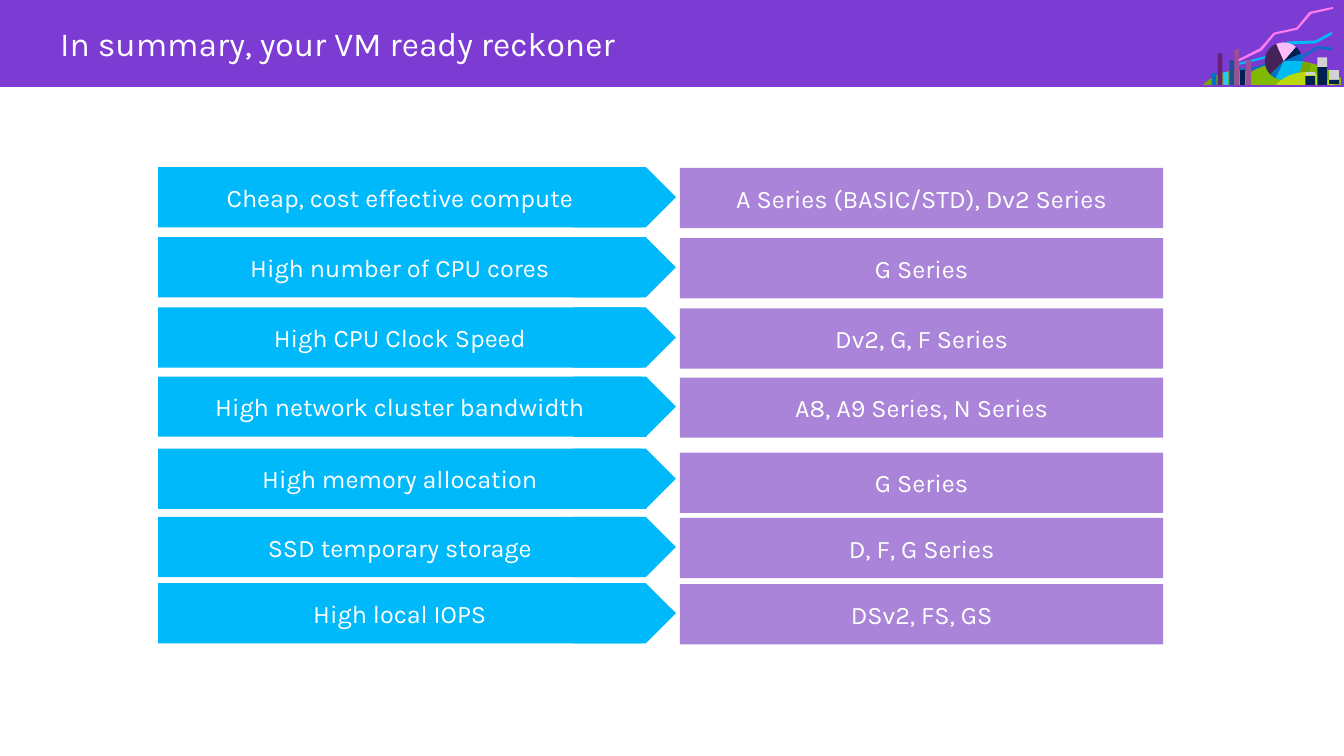
import math
from typing import NamedTuple

from pptx import Presentation
from pptx.dml.color import RGBColor
from pptx.enum.shapes import MSO_SHAPE
from pptx.enum.text import MSO_ANCHOR, PP_ALIGN
from pptx.util import Inches, Pt

RECTANGLE, CHEVRON = MSO_SHAPE.RECTANGLE, MSO_SHAPE.CHEVRON
MIDDLE = MSO_ANCHOR.MIDDLE
LEFT, CENTER = PP_ALIGN.LEFT, PP_ALIGN.CENTER

COLOURS = {
    "white": "FFFFFF", "need": "00B9FA", "series": "AA84D8", "banner": "7C3BD3",
    "cyan": "00BCF2", "blue": "0072C6", "navy": "002050", "pink": "FF7BEF",
    "pale pink": "FFBDF7", "aubergine": "442359", "dark green": "79A500",
    "green": "7FBA00", "lime": "BAD80A", "sky": "28C9F7", "royal": "1F4F99",
    "mauve": "9B4F96", "purple": "68217A", "grey": "D2D2D2",
}
FONT = "Karla"


class Match(NamedTuple):
    top: float
    need: str
    series: str
    series_drop: float = 0.01


class Outline(NamedTuple):
    colour: str
    start: tuple[float, float]
    steps: list[tuple[float, ...]]


class Slice(NamedTuple):
    colour: str
    begin: int
    end: int


class Bar(NamedTuple):
    colour: str
    left: float
    top: float
    bottom: float = 0.86
    width: float = 0.05


MATCHES = [
    Match(1.69, "Cheap, cost effective compute", "A Series (BASIC/STD), Dv2 Series"),
    Match(2.4, "High number of CPU cores", "G Series"),
    Match(3.11, "High CPU Clock Speed", "Dv2, G, F Series"),
    Match(3.81, "High network cluster bandwidth", "A8, A9 Series, N Series"),
    Match(4.54, "High memory allocation", "G Series", 0.04),
    Match(5.23, "SSD temporary storage", "D, F, G Series"),
    Match(5.9, "High local IOPS", "DSv2, FS, GS"),
]
ROW_HEIGHT, BOX_WIDTH = 0.61, 4.89
NEED_LEFT, CHEVRON_LEFT, SERIES_LEFT = 1.6, 5.8, 6.88

LOWER_TRENDS = [
    Outline("cyan", (12.53, 0.66), [
        (12.52, 0.64), (12.8, 0.57), (13.03, 0.42), (13.31, 0.41), (13.48, 0.32),
        (13.48, 0.35), (13.31, 0.44), (13.04, 0.45), (12.81, 0.59)]),
    Outline("blue", (12.53, 0.73), [
        (12.53, 0.7), (12.75, 0.67), (12.93, 0.56), (13.15, 0.58), (13.33, 0.47),
        (13.48, 0.48), (13.48, 0.51), (13.34, 0.49), (13.16, 0.6), (12.94, 0.58),
        (12.76, 0.69)]),
]
HILLS = [
    Outline("dark green", (12.61, 0.72), [
        (12.46, 0.69, 12.29, 0.74, 12.17, 0.86), (12.88, 0.86),
        (12.8, 0.78, 12.71, 0.73, 12.61, 0.72)]),
    Outline("green", (13.27, 0.64), [
        (13.15, 0.61, 13.02, 0.61, 12.89, 0.64),
        (12.75, 0.67, 12.61, 0.74, 12.5, 0.86), (13.57, 0.86), (13.57, 0.79),
        (13.48, 0.72, 13.38, 0.67, 13.27, 0.64)]),
    Outline("dark green", (12.99, 0.79), [
        (13.02, 0.8, 13.05, 0.81, 13.08, 0.81),
        (13.18, 0.81, 13.26, 0.74, 13.27, 0.64),
        (13.15, 0.61, 13.02, 0.61, 12.89, 0.64),
        (12.9, 0.68, 12.92, 0.72, 12.94, 0.75),
        (12.96, 0.77, 12.98, 0.78, 12.99, 0.79)]),
]
FRONT_HILL = Outline("lime", (13.37, 0.77), [
    (13.34, 0.76, 13.31, 0.74, 13.27, 0.74),
    (13.26, 0.74, 13.24, 0.73, 13.22, 0.73),
    (13.11, 0.73, 12.99, 0.77, 12.91, 0.86), (13.5, 0.86),
    (13.46, 0.82, 13.42, 0.79, 13.37, 0.77)])
TOP_TREND = Outline("pink", (12.54, 0.62), [
    (12.53, 0.6), (12.75, 0.49), (12.89, 0.33), (13.12, 0.28), (13.25, 0.12),
    (13.49, 0.07), (13.49, 0.09), (13.27, 0.14), (13.13, 0.3), (12.9, 0.35),
    (12.77, 0.51)])

PIE_CENTRE, PIE_RADIUS = (12.99, 0.62), 0.19
SLICES = [
    Slice("pale pink", 246, 311), Slice("navy", 311, 336),
    Slice("aubergine", 135, 246), Slice("blue", 336, 360),
    Slice("blue", 115, 135), Slice("cyan", 0, 115),
]
BARS = [
    Bar("navy", 12.55, 0.71), Bar("sky", 12.38, 0.73), Bar("royal", 12.44, 0.61),
    Bar("mauve", 12.49, 0.5), Bar("mauve", 12.61, 0.61), Bar("blue", 12.26, 0.74),
    Bar("purple", 12.32, 0.54),
    Bar("grey", 13.21, 0.73, 0.76, 0.1), Bar("navy", 13.21, 0.77, 0.86, 0.1),
    Bar("grey", 13.33, 0.58, 0.68, 0.1), Bar("navy", 13.33, 0.68, 0.86, 0.1),
    Bar("grey", 13.45, 0.71, 0.81, 0.1), Bar("navy", 13.45, 0.81, 0.85, 0.1),
]


def paint(shape, colour: str) -> None:
    shape.shadow.inherit = False
    shape.fill.solid()
    shape.fill.fore_color.rgb = RGBColor.from_string(COLOURS[colour])
    shape.line.fill.background()


def add_block(slide, kind, colour: str, left: float, top: float,
              width: float, height: float):
    block = slide.shapes.add_shape(
        kind, Inches(left), Inches(top), Inches(width), Inches(height))
    paint(block, colour)
    return block


def write(block, wording: str, size: float, alignment=CENTER) -> None:
    frame = block.text_frame
    frame.text = wording
    frame.word_wrap = True
    frame.vertical_anchor = MIDDLE
    paragraph = frame.paragraphs[0]
    paragraph.alignment = alignment
    font = paragraph.runs[0].font
    font.name, font.size = FONT, Pt(size)
    font.color.rgb = RGBColor.from_string(COLOURS["white"])


def add_match(slide, match: Match) -> None:
    need = add_block(slide, RECTANGLE, "need", NEED_LEFT, match.top, BOX_WIDTH, ROW_HEIGHT)
    write(need, match.need, 18.4)
    add_block(slide, CHEVRON, "need", CHEVRON_LEFT, match.top, 1.04, ROW_HEIGHT)
    series = add_block(slide, RECTANGLE, "series", SERIES_LEFT,
                       match.top + match.series_drop, BOX_WIDTH, ROW_HEIGHT)
    write(series, match.series, 18.4)


def curve_points(start: tuple, curve: tuple, count: int = 10) -> list[tuple]:
    controls = [start, curve[:2], curve[2:4], curve[4:]]
    points = []
    for index in range(1, count + 1):
        t = index / count
        weights = [math.comb(3, k) * t**k * (1 - t)**(3 - k) for k in range(4)]
        points.append(tuple(sum(w * c[axis] for w, c in zip(weights, controls))
                            for axis in (0, 1)))
    return points


def add_outline(slide, outline: Outline) -> None:
    points = [outline.start]
    for step in outline.steps:
        points += [step] if len(step) == 2 else curve_points(points[-1], step)
    corners = [(Inches(x), Inches(y)) for x, y in points]
    builder = slide.shapes.build_freeform(*corners[0])
    builder.add_line_segments(corners[1:], close=True)
    paint(builder.convert_to_shape(), outline.colour)


def add_slice(slide, piece: Slice, count: int = 16) -> None:
    angles = [math.radians(piece.begin + (piece.end - piece.begin) * i / count)
              for i in range(count + 1)]
    rim = [(PIE_CENTRE[0] + PIE_RADIUS * math.cos(a),
            PIE_CENTRE[1] + PIE_RADIUS * math.sin(a)) for a in angles]
    add_outline(slide, Outline(piece.colour, PIE_CENTRE, rim))


def main() -> None:
    deck = Presentation()
    deck.slide_width, deck.slide_height = Inches(13.6), Inches(7.65)
    slide = deck.slides.add_slide(deck.slide_layouts[6])

    for match in MATCHES:
        add_match(slide, match)

    banner = add_block(slide, RECTANGLE, "banner", 0, 0, 13.6, 0.88)
    write(banner, "In summary, your VM ready reckoner", 24.5, LEFT)
    banner.text_frame.margin_left = Inches(0.61)

    for outline in LOWER_TRENDS + HILLS:
        add_outline(slide, outline)
    for piece in SLICES:
        add_slice(slide, piece)
    add_outline(slide, FRONT_HILL)
    for bar in BARS:
        add_block(slide, RECTANGLE, bar.colour, bar.left, bar.top,
                  bar.width, bar.bottom - bar.top)
    add_outline(slide, TOP_TREND)

    deck.save("out.pptx")


if __name__ == "__main__":
    main()
